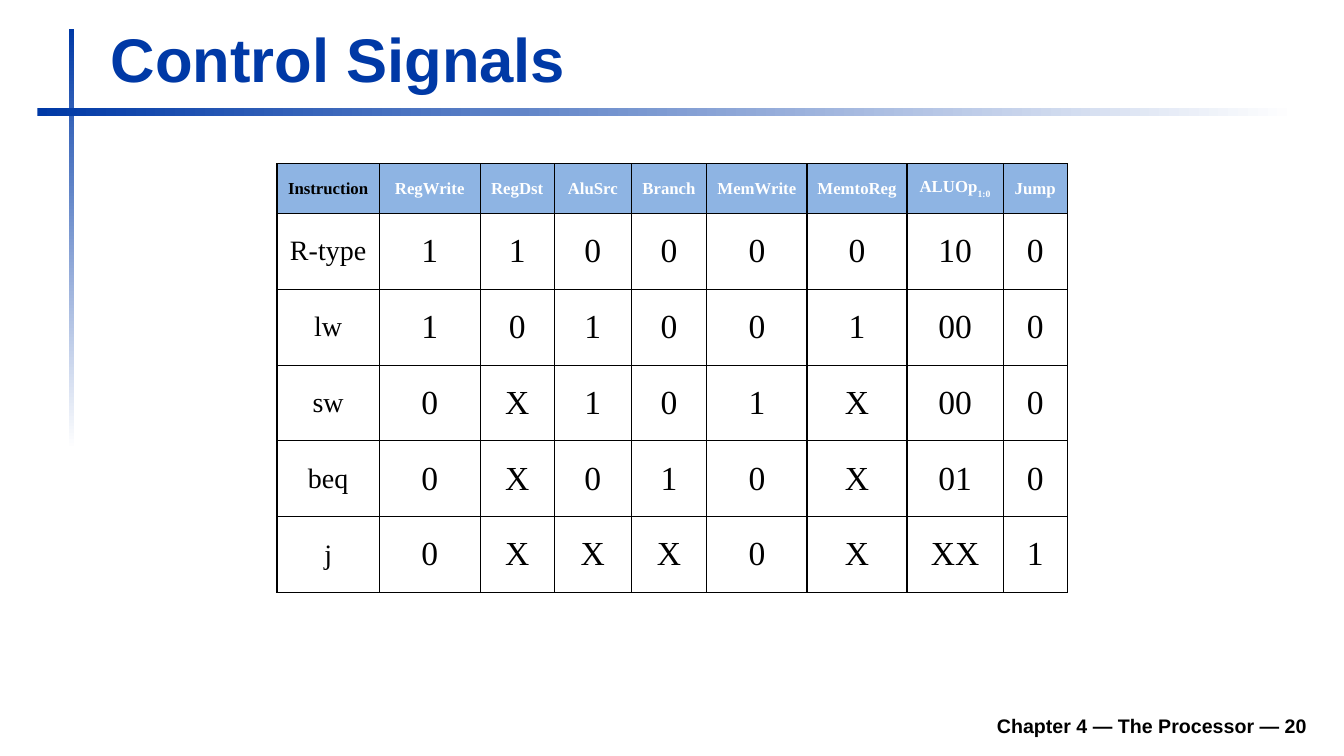
from pptx import Presentation
from pptx.dml.color import RGBColor
from pptx.enum.shapes import MSO_SHAPE
from pptx.enum.text import MSO_ANCHOR, PP_ALIGN
from pptx.oxml import parse_xml
from pptx.oxml.ns import nsdecls
from pptx.util import Cm, Pt

BLUE, HEADER_BLUE, BLACK, WHITE = "0039A6", "8EB4E3", "000000", "FFFFFF"

HEADERS = ["Instruction", "RegWrite", "RegDst", "AluSrc", "Branch",
           "MemWrite", "MemtoReg", "ALUOp", "Jump"]
SUBSCRIPTS = {"ALUOp": "1:0"}
SIGNALS = [
    "R-type 1 1 0 0 0 0 10 0",
    "lw 1 0 1 0 0 1 00 0",
    "sw 0 X 1 0 1 X 00 0",
    "beq 0 X 0 1 0 X 01 0",
    "j 0 X X X 0 X XX 1",
]
COLUMN_WIDTHS = [2.58, 2.54, 1.87, 1.94, 1.9, 2.53, 2.52, 2.42, 1.62]
HEADER_HEIGHT, ROW_HEIGHT = 1.25, 1.91


def color(hex_string):
    return RGBColor.from_string(hex_string)


def apply(target, values):
    for name, value in values.items():
        setattr(target, name, value)


class SlideBuilder:
    heading_font = "Arial"
    table_font = "Times New Roman"

    def __init__(self, presentation):
        self.slide = presentation.slides.add_slide(presentation.slide_layouts[6])

    def run(self, paragraph, text, font, size, hex_color, bold):
        run = paragraph.add_run()
        run.text = text
        apply(run.font, {"name": font, "size": Pt(size), "bold": bold})
        run.font.color.rgb = color(hex_color)
        return run

    def fading_bar(self, box, angle):
        """Draw a bar that fades from blue to white; angle is counter-clockwise."""
        shape = self.slide.shapes.add_shape(MSO_SHAPE.RECTANGLE, *map(Cm, box))
        shape.shadow.inherit = False
        shape.line.fill.background()
        shape.fill.gradient()
        shape.fill.gradient_angle = angle
        for stop, hex_color, position in zip(shape.fill.gradient_stops, (BLUE, WHITE), (0, 1)):
            stop.color.rgb = color(hex_color)
            stop.position = position

    def heading(self, text, box, size, hex_color, alignment):
        frame = self.slide.shapes.add_textbox(*map(Cm, box)).text_frame
        apply(frame, {"word_wrap": True, "vertical_anchor": MSO_ANCHOR.BOTTOM})
        paragraph = frame.paragraphs[0]
        paragraph.alignment = alignment
        self.run(paragraph, text, self.heading_font, size, hex_color, True)

    def borders(self, cell):
        properties = cell._tc.get_or_add_tcPr()
        for index, side in enumerate(("lnL", "lnR", "lnT", "lnB")):
            properties.insert(index, parse_xml(
                f'<a:{side} {nsdecls("a")} w="12700"><a:solidFill>'
                f'<a:srgbClr val="{BLACK}"/></a:solidFill></a:{side}>'))

    def cell(self, cell, text, size, hex_color, bold, fill=None):
        apply(cell, {"vertical_anchor": MSO_ANCHOR.MIDDLE,
                     "margin_left": Cm(0.1), "margin_right": Cm(0.1)})
        if fill:
            cell.fill.solid()
            cell.fill.fore_color.rgb = color(fill)
        else:
            cell.fill.background()
        self.borders(cell)
        paragraph = cell.text_frame.paragraphs[0]
        paragraph.alignment = PP_ALIGN.CENTER
        style = (self.table_font, size, hex_color, bold)
        self.run(paragraph, text, *style)
        if text in SUBSCRIPTS:
            subscript = self.run(paragraph, SUBSCRIPTS[text], *style)
            subscript._r.get_or_add_rPr().set("baseline", "-30000")

    def signal_table(self, left, top):
        heights = [HEADER_HEIGHT] + [ROW_HEIGHT] * len(SIGNALS)
        table = self.slide.shapes.add_table(
            len(heights), len(HEADERS), Cm(left), Cm(top),
            Cm(sum(COLUMN_WIDTHS)), Cm(sum(heights))).table
        apply(table, {"first_row": False, "horz_banding": False})
        for column, width in zip(table.columns, COLUMN_WIDTHS):
            column.width = Cm(width)
        for row, height in zip(table.rows, heights):
            row.height = Cm(height)
        for index, header in enumerate(HEADERS):
            self.cell(table.cell(0, index), header, 12,
                      WHITE if index else BLACK, True, HEADER_BLUE)
        for row_index, signals in enumerate(SIGNALS, 1):
            for index, value in enumerate(signals.split()):
                self.cell(table.cell(row_index, index), value,
                          24 if index else 20, BLACK, False)


def main():
    presentation = Presentation()
    apply(presentation, {"slide_width": Cm(33.87), "slide_height": Cm(19.05)})
    builder = SlideBuilder(presentation)
    builder.fading_bar((1.74, 0.72, 0.13, 10.6), 270)
    builder.fading_bar((0.94, 2.73, 31.75, 0.2), 0)
    builder.heading("Control Signals", (2.54, 0.4, 33.12 - 2.54, 2.12), 44, BLUE, PP_ALIGN.LEFT)
    builder.heading("Chapter 4 — The Processor — 20", (6.27, 17.74, 26.92, 0.98),
                    14, BLACK, PP_ALIGN.RIGHT)
    builder.signal_table(6.98, 4.13)
    presentation.save("out.pptx")


if __name__ == "__main__":
    main()
